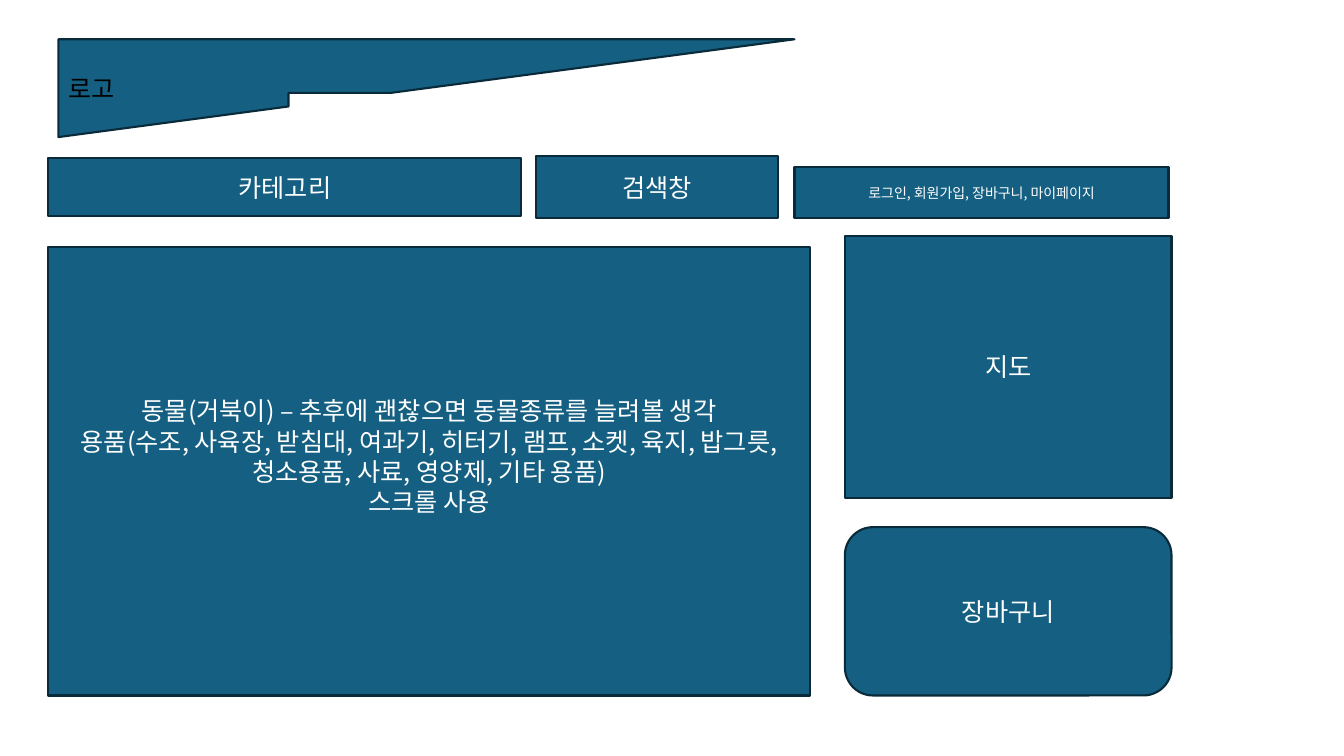
from lxml.etree import SubElement
from pptx import Presentation
from pptx.dml.color import RGBColor
from pptx.enum.shapes import MSO_SHAPE as Shape
from pptx.enum.text import MSO_ANCHOR as Anchor, PP_ALIGN as Align
from pptx.oxml.ns import qn
from pptx.util import Inches, Pt

FILL = RGBColor(0x15, 0x60, 0x82)
OUTLINE = RGBColor(0x09, 0x2A, 0x39)
WHITE = RGBColor(0xFF, 0xFF, 0xFF)
BLACK = RGBColor(0x00, 0x00, 0x00)
FONT = "Noto Sans CJK KR"


def add_block(slide, kind, box, text, size=18, color=WHITE, align=Align.CENTER):
    shape = slide.shapes.add_shape(kind, *[Inches(length) for length in box])
    shape.shadow.inherit = False
    shape.fill.solid()
    shape.fill.fore_color.rgb = FILL
    shape.line.color.rgb = OUTLINE
    shape.line.width = Pt(1.5)
    text_frame = shape.text_frame
    text_frame.word_wrap = True
    text_frame.vertical_anchor = Anchor.MIDDLE
    text_frame.text = text
    for paragraph in text_frame.paragraphs:
        paragraph.alignment = align
        for run in paragraph.runs:
            run.font.size = Pt(size)
            run.font.color.rgb = color
            run.font.name = FONT
            east_asian = SubElement(run._r.get_or_add_rPr(), qn("a:ea"))
            east_asian.set("typeface", FONT)
    return shape


presentation = Presentation()
presentation.slide_width = Inches(13.33)
presentation.slide_height = Inches(7.5)
slide = presentation.slides.add_slide(presentation.slide_layouts[6])

PRODUCTS = "\n".join([
    "동물(거북이) – 추후에 괜찮으면 동물종류를 늘려볼 생각",
    "용품(수조, 사육장, 받침대, 여과기, 히터기, 램프, 소켓, 육지, "
    "밥그릇, 청소용품, 사료, 영양제, 기타 용품)",
    "스크롤 사용",
])

add_block(slide, Shape.RECTANGLE, (5.32, 1.55, 2.4, 0.61), "검색창")

products = add_block(slide, Shape.RECTANGLE, (0.48, 2.45, 7.55, 4.45), PRODUCTS)
products.text_frame.margin_bottom = Inches(0.35)

logo = add_block(slide, Shape.HALF_FRAME, (0.58, 0.39, 7.3, 0.97), "로고",
                 color=BLACK, align=Align.LEFT)
logo.adjustments[0] = 0.549
logo.adjustments[1] = 2.352

add_block(slide, Shape.RECTANGLE, (7.88, 1.66, 3.71, 0.5),
          "로그인, 회원가입, 장바구니, 마이페이지", size=10)
add_block(slide, Shape.RECTANGLE, (8.38, 2.34, 3.24, 2.6), "지도")
add_block(slide, Shape.ROUNDED_RECTANGLE, (8.38, 5.23, 3.24, 1.67), "장바구니")
add_block(slide, Shape.RECTANGLE, (0.48, 1.57, 4.69, 0.57), "카테고리")

presentation.save("out.pptx")
